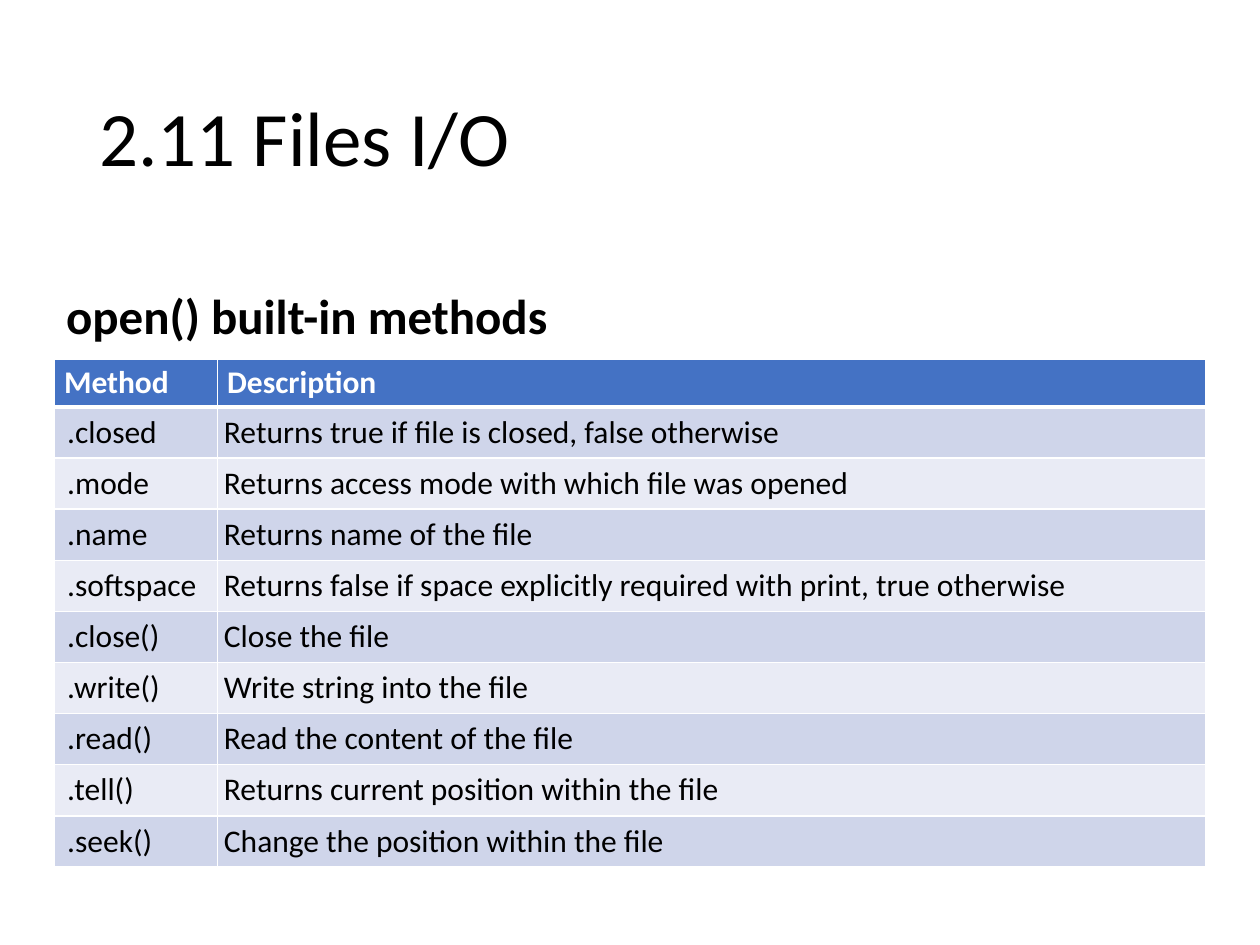
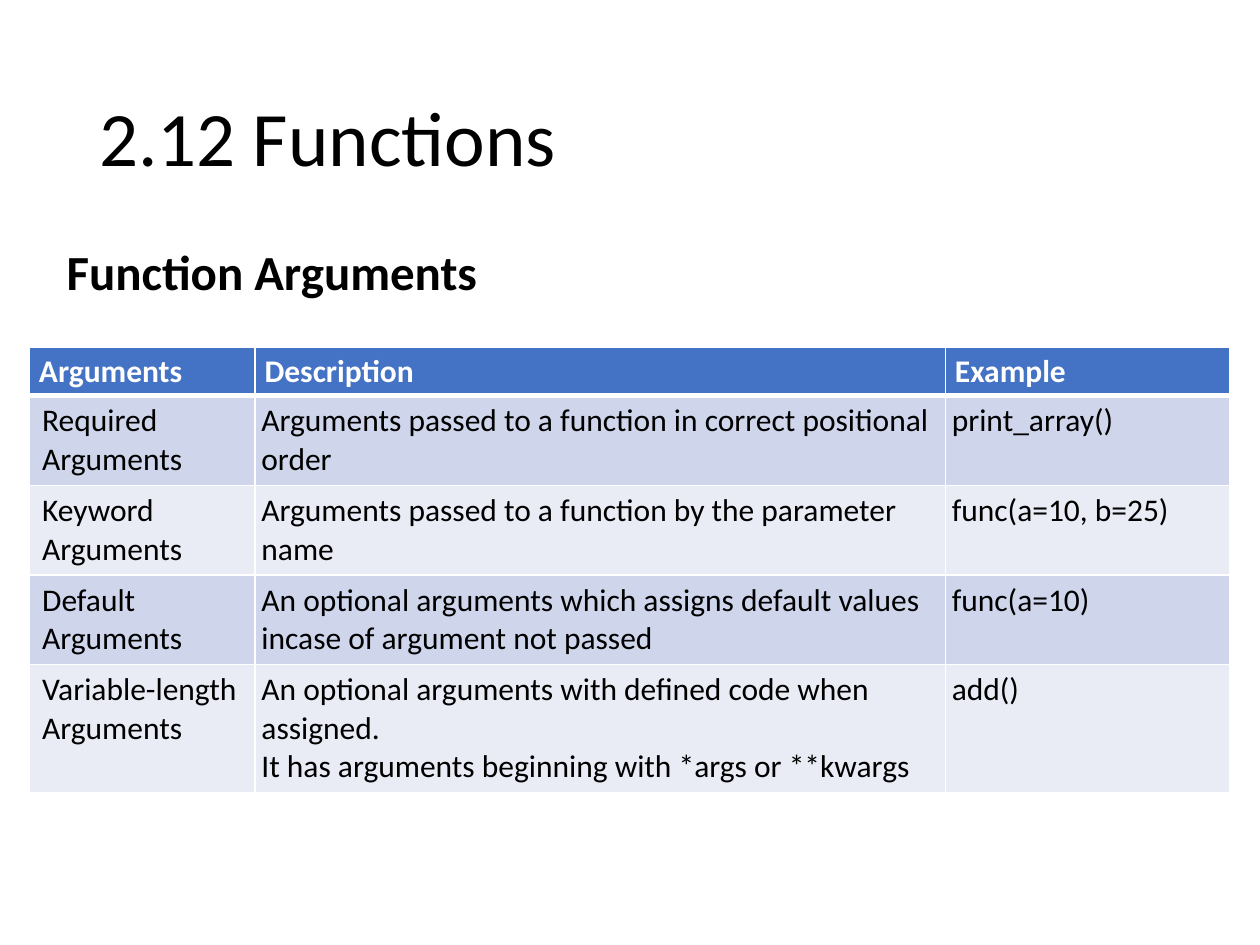
"""Build two Python course slides, each with a title, a subtitle and a reference table."""
from dataclasses import dataclass

from lxml.etree import SubElement
from pptx import Presentation
from pptx.dml.color import RGBColor
from pptx.enum.text import MSO_ANCHOR
from pptx.oxml.ns import qn
from pptx.util import Pt


@dataclass(frozen=True)
class Theme:
    font: str = "Calibri"
    ink: str = "000000"
    paper: str = "FFFFFF"
    header: str = "4472C4"
    bands: tuple = ("CFD5EA", "E9EBF5")
    title_size: float = 44
    subtitle_size: float = 28
    table_size: float = 18
    line_height: float = 22
    rule: float = 1
    header_rule: float = 3


THEME = Theme()
TITLE_BOX = (49.6, 28.8, 621, 104.4)
BOX_INSETS = (7.2, 3.6, 7.2, 3.6)
HEADER_INSETS = (5.4, 2.7, 5.4, 2.7)
LABEL_INSETS = (7.2, 3.6, 3.6, 3.6)
DETAIL_INSETS = (3.6, 3.6, 3.6, 3.6)

FILE_METHODS = [
    ("Method", "Description"),
    (".closed", "Returns true if file is closed, false otherwise"),
    (".mode", "Returns access mode with which file was opened"),
    (".name", "Returns name of the file"),
    (".softspace", "Returns false if space explicitly required with print, true otherwise"),
    (".close()", "Close the file"),
    (".write()", "Write string into the file"),
    (".read()", "Read the content of the file"),
    (".tell()", "Returns current position within the file"),
    (".seek()", "Change the position within the file"),
]

ARGUMENT_KINDS = [
    ("Arguments", "Description", "Example"),
    ("Required Arguments",
     "Arguments passed to a function in correct positional order", "print_array()"),
    ("Keyword Arguments",
     "Arguments passed to a function by the parameter name", "func(a=10, b=25)"),
    ("Default Arguments",
     "An optional arguments which assigns default values incase of argument not passed",
     "func(a=10)"),
    ("Variable-length Arguments",
     "An optional arguments with defined code when assigned.\n"
     "It has arguments beginning with *args or **kwargs", "add()"),
]


def format_text(frame, size, color, bold=False):
    for paragraph in frame.paragraphs:
        for run in paragraph.runs:
            run.font.name = THEME.font
            run.font.size = Pt(size)
            run.font.bold = bold
            run.font.color.rgb = RGBColor.from_string(color)


def set_insets(holder, insets):
    (holder.margin_left, holder.margin_top,
     holder.margin_right, holder.margin_bottom) = map(Pt, insets)


def add_heading(slide, words, box, size, bold=False, anchor=MSO_ANCHOR.TOP, insets=BOX_INSETS):
    frame = slide.shapes.add_textbox(*map(Pt, box)).text_frame
    frame.word_wrap = True
    frame.vertical_anchor = anchor
    set_insets(frame, insets)
    frame.text = words
    frame.paragraphs[0].line_spacing = 0.9
    format_text(frame, size, THEME.ink, bold)


def add_title(slide, words):
    add_heading(slide, words, TITLE_BOX, THEME.title_size, anchor=MSO_ANCHOR.MIDDLE)


def add_subtitle(slide, words, box, insets=BOX_INSETS):
    add_heading(slide, words, box, THEME.subtitle_size, bold=True, insets=insets)


def set_borders(cell, top, bottom):
    properties = cell._tc.get_or_add_tcPr()
    widths = {"lnL": THEME.rule, "lnR": THEME.rule, "lnT": top, "lnB": bottom}
    for side, width in widths.items():
        border = SubElement(properties, qn(f"a:{side}"), w=str(Pt(width)))
        fill = SubElement(border, qn("a:solidFill"))
        SubElement(fill, qn("a:srgbClr"), val=THEME.paper)


def style_cell(cell, row, column):
    is_header = row == 0
    set_borders(cell,
                top=THEME.header_rule if row == 1 else THEME.rule,
                bottom=THEME.header_rule if is_header else THEME.rule)
    cell.fill.solid()
    fill = THEME.header if is_header else THEME.bands[(row - 1) % 2]
    cell.fill.fore_color.rgb = RGBColor.from_string(fill)
    body_insets = DETAIL_INSETS if column else LABEL_INSETS
    set_insets(cell, HEADER_INSETS if is_header else body_insets)
    format_text(cell.text_frame, THEME.table_size,
                THEME.paper if is_header else THEME.ink, is_header)


def add_reference_table(slide, entries, left, top, widths, line_counts):
    heights = [count * THEME.line_height + (7.2 if row else 5.4)
               for row, count in enumerate(line_counts)]
    table = slide.shapes.add_table(
        len(entries), len(widths), Pt(left), Pt(top), Pt(sum(widths)), Pt(sum(heights))).table
    for column, width in zip(table.columns, widths):
        column.width = Pt(width)
    for row, (entry, height) in enumerate(zip(entries, heights)):
        table.rows[row].height = Pt(height)
        for column, words in enumerate(entry):
            cell = table.cell(row, column)
            cell.text_frame.text = words
            style_cell(cell, row, column)


def add_files_slide(slide):
    add_title(slide, "2.11 Files I/O")
    add_reference_table(slide, FILE_METHODS, 31.2, 205.2, (93.2, 564.8),
                        [1] * len(FILE_METHODS))
    add_subtitle(slide, "open() built-in methods", (32.4, 164.2, 621, 268.6), HEADER_INSETS)


def add_functions_slide(slide):
    add_title(slide, "2.12 Functions")
    add_subtitle(slide, "Function Arguments", (31, 138.2, 621, 54.7))
    add_reference_table(slide, ARGUMENT_KINDS, 16.9, 198.7, (128.9, 394.5, 162.7),
                        (1, 2, 2, 2, 3))


def main():
    deck = Presentation()
    deck.slide_width, deck.slide_height = Pt(720), Pt(540)
    blank = deck.slide_layouts[6]
    for fill_slide in (add_files_slide, add_functions_slide):
        fill_slide(deck.slides.add_slide(blank))
    deck.save("out.pptx")


if __name__ == "__main__":
    main()
